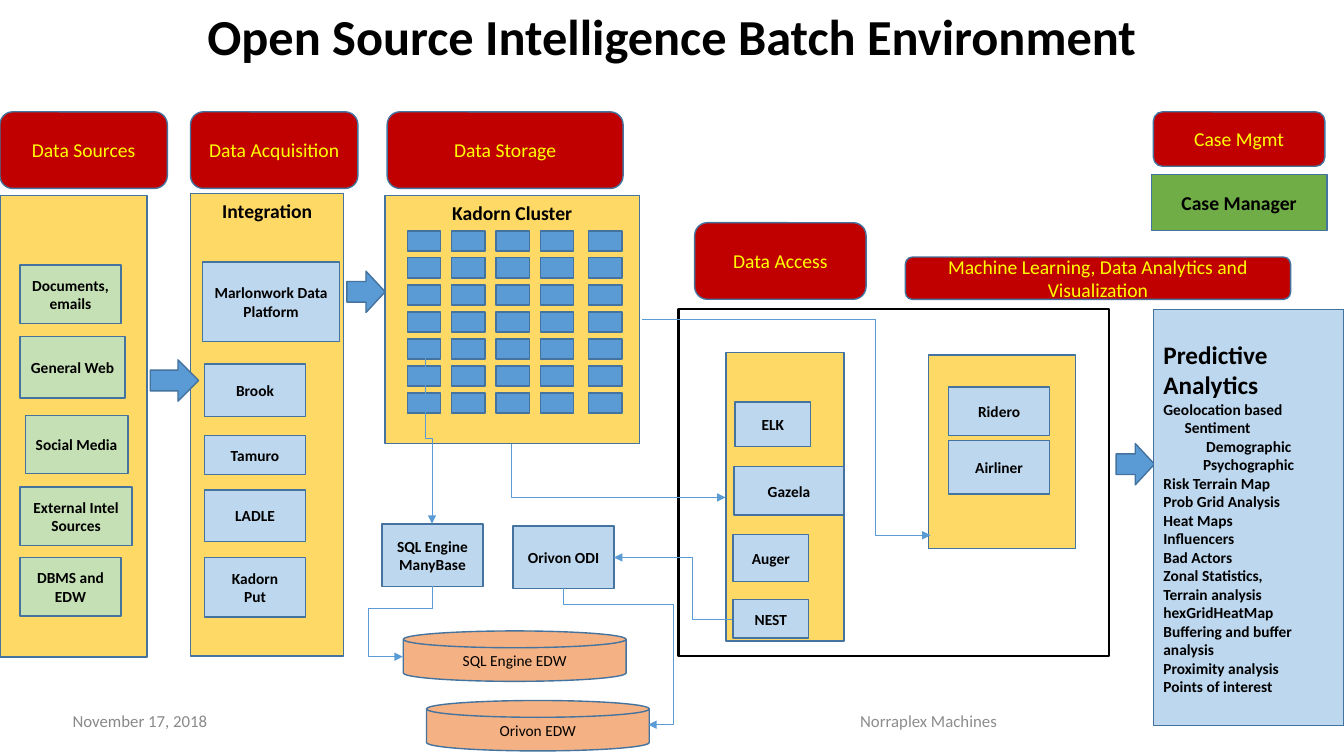
"""Build the Open Source Intelligence Batch Environment architecture slide."""
from dataclasses import dataclass
from typing import Optional

from lxml import etree
from pptx import Presentation
from pptx.dml.color import RGBColor
from pptx.enum.shapes import MSO_CONNECTOR, MSO_SHAPE
from pptx.enum.text import MSO_ANCHOR, PP_ALIGN
from pptx.oxml.ns import qn
from pptx.util import Inches, Pt

RECT, ROUNDED = MSO_SHAPE.RECTANGLE, MSO_SHAPE.ROUNDED_RECTANGLE
ARROW, DISK = MSO_SHAPE.RIGHT_ARROW, MSO_SHAPE.FLOWCHART_MAGNETIC_DISK
ELBOW = MSO_CONNECTOR.ELBOW
TOP, MIDDLE = MSO_ANCHOR.TOP, MSO_ANCHOR.MIDDLE
LEFT, CENTER = PP_ALIGN.LEFT, PP_ALIGN.CENTER

BLACK = RGBColor(0x00, 0x00, 0x00)
RED = RGBColor(0xC0, 0x00, 0x00)
YELLOW = RGBColor(0xFF, 0xFF, 0x00)
GOLD = RGBColor(0xFF, 0xD9, 0x66)
PALE_GREEN = RGBColor(0xC5, 0xE0, 0xB4)
GREEN = RGBColor(0x70, 0xAD, 0x47)
PALE_BLUE = RGBColor(0xBD, 0xD7, 0xEE)
BLUE = RGBColor(0x5B, 0x9B, 0xD5)
NAVY = RGBColor(0x43, 0x73, 0x9E)
ORANGE = RGBColor(0xF4, 0xB1, 0x83)
GRAY = RGBColor(0x8C, 0x8C, 0x8C)
DATE_GRAY = RGBColor(0x89, 0x89, 0x89)


@dataclass(frozen=True)
class Style:
    fill: Optional[RGBColor] = None
    geometry: MSO_SHAPE = RECT
    size: float = 11
    bold: bool = True
    color: RGBColor = BLACK
    anchor: MSO_ANCHOR = MIDDLE
    line: RGBColor = NAVY
    line_width: float = 1


@dataclass(frozen=True)
class Box:
    left: float
    top: float
    width: float
    height: float
    style: Style
    text: str = ""


@dataclass(frozen=True)
class Flow:
    left: float
    top: float
    width: float
    height: float
    rotation: int
    flipped: bool
    preset: str
    bends: tuple[float, ...] = ()


@dataclass(frozen=True)
class Line:
    text: str
    align: PP_ALIGN = LEFT
    size: float = 11
    indent: float = 0


HEADING = Style(RED, ROUNDED, 14, False, YELLOW)
PANEL = Style(GOLD, size=14, anchor=TOP)
SOURCE = Style(PALE_GREEN)
TOOL = Style(PALE_BLUE)
NODE = Style(BLUE)
STEP = Style(BLUE, ARROW)
WAREHOUSE = Style(ORANGE, DISK, bold=False)
MANAGER = Style(GREEN, size=14)
FRAME = Style(line=BLACK, line_width=1.5)

CLUSTER = Box(3.82, 1.94, 2.52, 2.46, PANEL, "Kadorn Cluster")
NODE_COLUMNS = (4.04, 4.48, 4.92, 5.36, 5.84)
NODES = [Box(left, 2.29 + 0.268 * row, 0.33, 0.2, NODE)
         for row in range(7) for left in NODE_COLUMNS]

BOXES = [
    Box(4.23, 6.95, 2.21, 0.5, WAREHOUSE, "Orivon EDW"),
    Box(4, 6.26, 2.21, 0.5, WAREHOUSE, "SQL Engine EDW"),
    Box(0, 1.11, 1.66, 0.76, HEADING, "Data Sources"),
    Box(1.89, 1.11, 1.66, 0.76, HEADING, "Data Acquisition"),
    Box(3.84, 1.11, 2.34, 0.76, HEADING, "Data Storage"),
    Box(6.89, 2.21, 1.7, 0.76, HEADING, "Data Access"),
    Box(8.98, 2.55, 3.82, 0.42, HEADING,
        "Machine Learning, Data Analytics and Visualization"),
    Box(11.44, 1.11, 1.7, 0.54, HEADING, "Case Mgmt"),
    Box(11.42, 1.73, 1.74, 0.56, MANAGER, "Case Manager"),
    Box(0, 1.94, 1.46, 4.58, PANEL),
    Box(0.2, 2.63, 1, 0.58, SOURCE, "Documents, emails"),
    Box(0.2, 3.34, 1.04, 0.61, SOURCE, "General Web"),
    Box(0.25, 4.12, 1.02, 0.58, SOURCE, "Social Media"),
    Box(0.2, 4.83, 1.11, 0.58, SOURCE, "External Intel Sources"),
    Box(0.2, 5.53, 1, 0.58, SOURCE, "DBMS and EDW"),
    Box(1.89, 1.92, 1.52, 4.59, PANEL, "Integration"),
    Box(2.01, 2.6, 1.36, 0.79, TOOL, "Marlonwork Data Platform"),
    Box(2.03, 3.61, 1, 0.52, TOOL, "Brook"),
    Box(2.03, 4.32, 1, 0.39, TOOL, "Tamuro"),
    Box(2.03, 4.86, 1, 0.51, TOOL, "LADLE"),
    Box(2.03, 5.53, 1, 0.59, TOOL, "Kadorn\nPut"),
    Box(1.49, 3.57, 0.48, 0.41, STEP),
    Box(3.44, 2.69, 0.38, 0.41, STEP),
    Box(11.07, 4.4, 0.38, 0.41, STEP),
    Box(7.2, 3.5, 1.17, 2.86, PANEL),
    Box(7.29, 3.99, 0.75, 0.44, TOOL, "ELK"),
    Box(7.28, 4.63, 1.09, 0.48, TOOL, "Gazela"),
    Box(7.27, 5.3, 0.75, 0.47, TOOL, "Auger"),
    Box(7.27, 5.95, 0.75, 0.38, TOOL, "NEST"),
    Box(3.79, 5.2, 1, 0.62, TOOL, "SQL Engine ManyBase"),
    Box(5.09, 5.22, 1, 0.62, TOOL, "Orivon ODI"),
    Box(9.21, 3.52, 1.46, 1.92, PANEL),
    Box(9.41, 3.84, 1, 0.48, TOOL, "Ridero"),
    Box(9.41, 4.37, 1, 0.53, TOOL, "Airliner"),
    Box(6.73, 3.07, 4.27, 3.44, FRAME),
]
FLOWS = [
    Flow(3.4, 4.31, 1.7, 0.07, 270, True, "bentConnector3"),
    Flow(3.79, 6.02, 0.7, 0.29, 90, False, "bentConnector4", (0.319, 2.167)),
    Flow(6.09, 5.53, 1.17, 0.61, 180, False, "bentConnector3", (0.339,)),
    Flow(5.33, 6.09, 1.36, 0.84, 270, True, "bentConnector4", (0.121, 1.296)),
    Flow(5.87, 3.61, 0.53, 2.12, 270, True, "bentConnector2"),
    Flow(6.37, 3.17, 2.86, 2.14, 0, False, "bentConnector3", (0.809,)),
]
ANALYTICS = Box(11.44, 3.07, 1.89, 4.13, TOOL)
ANALYTICS_LINES = [
    Line("Predictive Analytics", size=18), Line("Geolocation based"),
    Line("Sentiment", indent=0.21),
    Line("Demographic", CENTER), Line("Psychographic", CENTER),
    *map(Line, ("Risk Terrain Map", "Prob Grid Analysis", "Heat Maps",
                "Influencers", "Bad Actors", "Zonal Statistics,",
                "Terrain analysis", "hexGridHeatMap",
                "Buffering and buffer analysis", "Proximity analysis",
                "Points of interest")),
]
TITLE = Box(0, 0, 13.33, 0.9, Style(size=36, anchor=TOP),
            "Open Source Intelligence Batch Environment")
FOOTER = Box(7.1, 6.95, 4.22, 0.4, Style(size=12, bold=False, color=GRAY),
             "Norraplex Machines")
DATE = Box(0.67, 7, 3.11, 0.3, Style(size=12, bold=False, color=DATE_GRAY))


def write(frame, style: Style, lines: list[Line], margin: float = 0.1) -> None:
    layout = {"word_wrap": True, "vertical_anchor": style.anchor,
              "margin_left": Inches(margin), "margin_right": Inches(margin)}
    for name, value in layout.items():
        setattr(frame, name, value)
    for index, line in enumerate(lines):
        paragraph = frame.add_paragraph() if index else frame.paragraphs[0]
        paragraph.alignment = line.align
        if line.indent:
            paragraph._p.get_or_add_pPr().set("marL", str(Inches(line.indent)))
        run = paragraph.add_run()
        run.text = line.text
        font = {"name": "Calibri", "size": Pt(line.size), "bold": style.bold}
        for name, value in font.items():
            setattr(run.font, name, value)
        run.font.color.rgb = style.color


def place(box: Box) -> list[int]:
    return [Inches(n) for n in (box.left, box.top, box.width, box.height)]


def centred(box: Box) -> list[Line]:
    return [Line(t, CENTER, box.style.size) for t in box.text.splitlines()]


def draw_box(shapes, box: Box, lines: Optional[list[Line]] = None) -> None:
    style = box.style
    shape = shapes.add_shape(style.geometry, *place(box))
    shape.shadow.inherit = False
    if style.fill is None:
        shape.fill.background()
    else:
        shape.fill.solid()
        shape.fill.fore_color.rgb = style.fill
    shape.line.color.rgb = style.line
    shape.line.width = Pt(style.line_width)
    write(shape.text_frame, style, lines or centred(box))


def draw_label(shapes, box: Box, lines: list[Line], margin: float = 0.1) -> None:
    write(shapes.add_textbox(*place(box)).text_frame, box.style, lines, margin)


def draw_flow(shapes, flow: Flow) -> None:
    start, end = flow.left, flow.left + flow.width
    if flow.flipped:
        start, end = end, start
    connector = shapes.add_connector(ELBOW, Inches(start), Inches(flow.top),
                                     Inches(end), Inches(flow.top + flow.height))
    connector.line.color.rgb = BLUE
    connector.line.width = Pt(0.5)
    properties = connector._element.spPr
    properties.find(qn("a:xfrm")).set("rot", str(flow.rotation * 60000))
    geometry = properties.find(qn("a:prstGeom"))
    geometry.set("prst", flow.preset)
    guides = geometry.find(qn("a:avLst"))
    if guides is None:
        guides = etree.SubElement(geometry, qn("a:avLst"))
    for number, bend in enumerate(flow.bends, 1):
        etree.SubElement(guides, qn("a:gd"), name=f"adj{number}",
                         fmla=f"val {round(bend * 100000)}")
    etree.SubElement(properties.find(qn("a:ln")), qn("a:tailEnd"), type="triangle")
    etree.SubElement(properties, qn("a:effectLst"))


def main() -> None:
    deck = Presentation()
    deck.slide_width, deck.slide_height = Inches(13.33), Inches(7.5)
    shapes = deck.slides.add_slide(deck.slide_layouts[6]).shapes
    cluster = shapes.add_group_shape().shapes
    for box in (CLUSTER, *NODES):
        draw_box(cluster, box)
    for box in BOXES:
        draw_box(shapes, box)
    draw_box(shapes, ANALYTICS, ANALYTICS_LINES)
    for flow in FLOWS:
        draw_flow(shapes, flow)
    for label in (TITLE, FOOTER):
        draw_label(shapes, label, centred(label))
    draw_label(shapes, DATE, [Line("November 17, 2018", size=12)], 0.05)
    deck.save("out.pptx")


if __name__ == "__main__":
    main()
